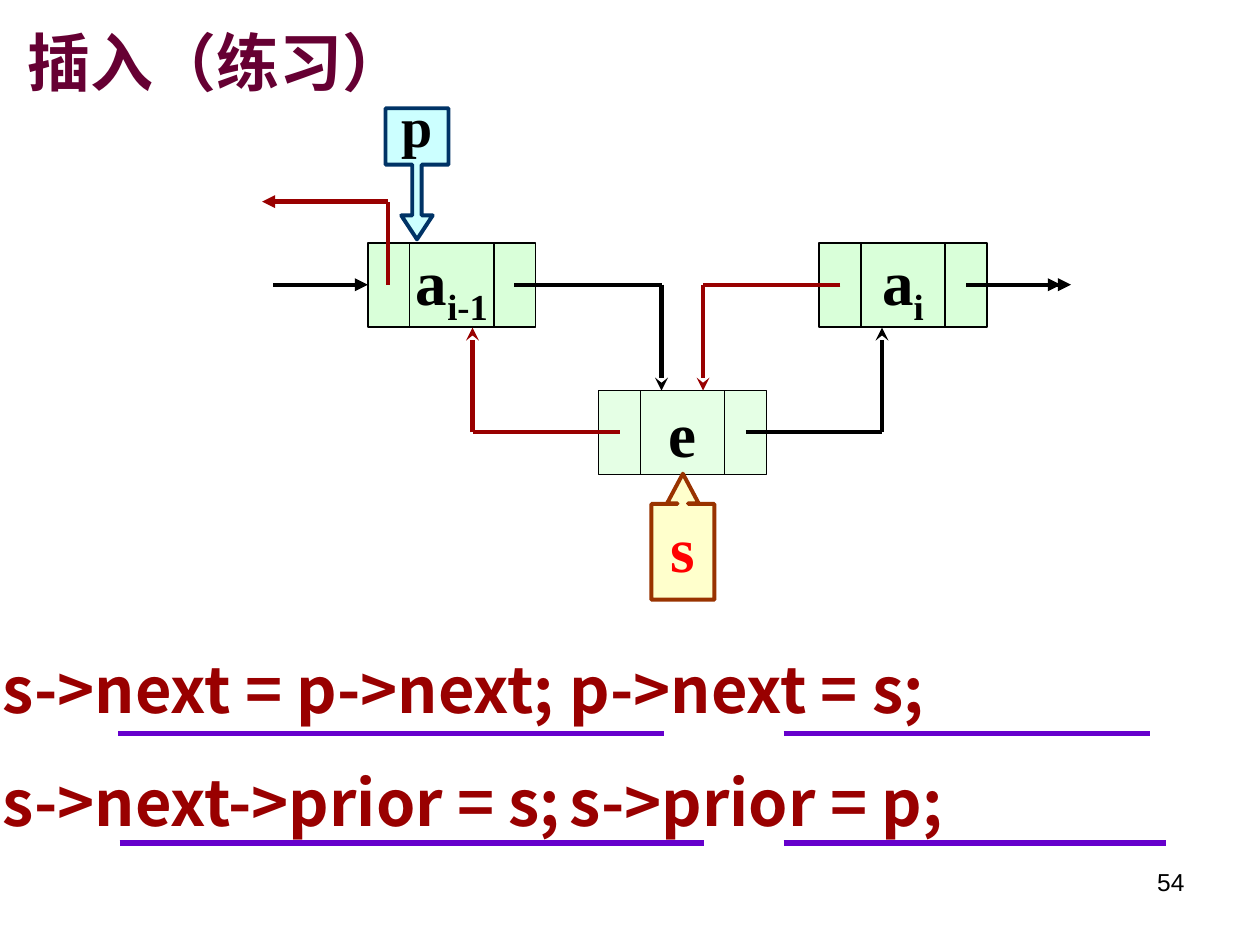
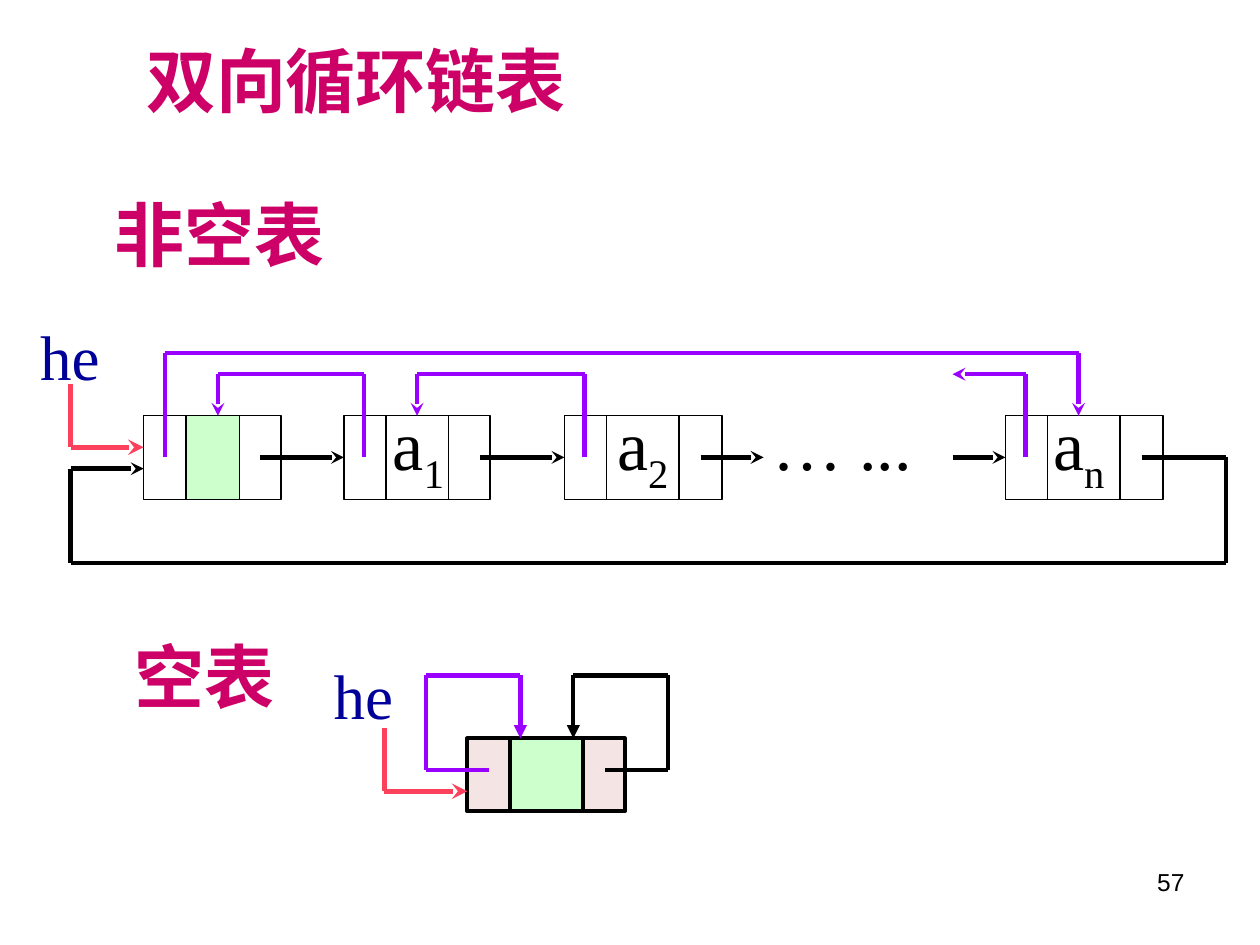
"""Build two slides on inserting into doubly linked lists and circular doubly linked lists."""
from itertools import pairwise
from pptx import Presentation
from pptx.dml.color import RGBColor
from pptx.enum import shapes, text
from pptx.oxml.ns import qn
from pptx import util as u
from lxml import etree

SERIF, SANS, CJK = "Times New Roman", "Arial", "Noto Sans CJK SC"
BLACK, RED, VIOLET, PURPLE, CORAL = "000000", "990000", "6600CC", "9900FF", "FB415C"
GREEN, MAGENTA, NAVY = "CCFFCC", "CC0066", "000099"
RECT = shapes.MSO_SHAPE.RECTANGLE
LEFT, CENTER, RIGHT = text.PP_ALIGN.LEFT, text.PP_ALIGN.CENTER, text.PP_ALIGN.RIGHT
rgb = RGBColor.from_string

prs = Presentation()
prs.slide_width, prs.slide_height = u.Inches(10), u.Inches(7.5)
COL = prs.slide_width / 100


def box(s, words, at, sp=None, geom=None, fill=None, line=None, lw=0.75, adj=(), size=36,
        font=SERIF, color=BLACK, bold=False, align=LEFT, mid=False, spacing=None, tabs=()):
    """Place a shape, text box or placeholder on the grid; an underscore starts a subscript."""
    at = [round(v * COL) for v in at]
    if sp is None:
        sp = s.shapes.add_shape(geom, *at) if geom else s.shapes.add_textbox(*at)
    sp.left, sp.top, sp.width, sp.height = at
    if geom:
        sp.shadow.inherit = False
        for i, value in enumerate(adj):
            sp.adjustments[i] = value
        sp.fill.background()
        if fill:
            sp.fill.solid()
            sp.fill.fore_color.rgb = rgb(fill)
        sp.line.color.rgb, sp.line.width = rgb(line), u.Pt(lw)
    tf = sp.text_frame
    tf.word_wrap, tf.auto_size = True, text.MSO_AUTO_SIZE.NONE
    tf.vertical_anchor = text.MSO_ANCHOR.MIDDLE if mid else text.MSO_ANCHOR.TOP
    for i, row in enumerate(words.split("\n") if words else []):
        p = tf.add_paragraph() if i else tf.paragraphs[0]
        p.alignment, p.space_before = align, u.Pt(0)
        if spacing:
            p.line_spacing = spacing
        if tabs:
            pPr = p._p.get_or_add_pPr()
            pPr.set("marL", "0")
            pPr.set("indent", "0")
            etree.SubElement(pPr, qn("a:buNone"))
            stops = etree.SubElement(pPr, qn("a:tabLst"))
            etree.SubElement(stops, qn("a:tab"), pos=str(round(tabs[i] * COL)), algn="l")
        for j, part in enumerate(row.split("_")):
            r = p.add_run()
            r.text, r.font.size, r.font.bold = part, u.Pt(size), bold
            r.font.color.rgb, r.font.name = rgb(color), font
            rPr = r.font._element
            etree.SubElement(rPr, qn("a:ea"), typeface=CJK)
            if j:
                rPr.set("baseline", "-25000")
    return sp


def path(s, points, color=BLACK, lw=2.5, head=None):
    """Join grid points with straight connectors, with an arrowhead on the last one."""
    for a, b in pairwise(points):
        c = s.shapes.add_connector(shapes.MSO_CONNECTOR.STRAIGHT,
                                   *[round(v * COL) for v in (*a, *b)])
        c.line.color.rgb, c.line.width = rgb(color), u.Pt(lw)
        if head and b == points[-1]:
            etree.SubElement(c.line._get_or_add_ln(), qn("a:tailEnd"), type=head)
        etree.SubElement(c._element.spPr, qn("a:effectLst"))


s = prs.slides.add_slide(prs.slide_layouts[1])
box(s, "插入（练习）", (1.2, 1.4, 40, 7), sp=s.shapes.title, color="660033", bold=True)
box(s, "s->next = p->next;\tp->next = s;\ns->next->prior = s;\ts->prior = p;",
    (-0.8, 48.1, 104.3, 19), sp=s.placeholders[1], font=CJK, color=RED, bold=True,
    spacing=1.5, tabs=(47.3, 46.5))
for x1, x2, y in ((9.4, 52.7, 58.2), (62.2, 91.3, 58.2), (9.5, 55.9, 66.9), (62.2, 92.5, 66.9)):
    path(s, [(x1, y), (x2, y)], VIOLET, 3)

NODE_W, NODE_H, LINK_W = 13.33, 6.67, 3.33
for label, x, y, fill in (("a_i-1", 29.2, 19.3, "D9FFD9"), ("a_i", 65, 19.3, "D9FFD9"),
                          ("e", 47.5, 31, "E5FFE5")):
    box(s, label, (x, y, NODE_W, NODE_H), geom=RECT, fill=fill, line=BLACK,
        bold=True, align=CENTER, mid=True)
    for divider in (x + LINK_W, x + NODE_W - LINK_W):
        path(s, [(divider, y), (divider, y + NODE_H)], lw=0.75)

box(s, "s", (51.7, 37.6, 5, 10), geom=shapes.MSO_SHAPE.UP_ARROW_CALLOUT, fill="FFFFCC",
    line="993300", lw=2.25, adj=(0.17, 0.25, 0.47, 0.76), color="FF0000", bold=True,
    align=CENTER, mid=True, spacing=0.9)
for points, color, head in (
        ([(21.7, 22.6), (29.2, 22.6)], BLACK, "triangle"),
        ([(76.7, 22.6), (84.2, 22.6)], BLACK, "triangle"),
        ([(76.7, 22.6), (85, 22.6)], BLACK, "triangle"),
        ([(59.2, 34.3), (70, 34.3), (70, 26)], BLACK, "stealth"),
        ([(40.8, 22.6), (52.5, 22.6), (52.5, 31)], BLACK, "stealth"),
        ([(66.7, 22.6), (55.8, 22.6), (55.8, 31)], RED, "stealth"),
        ([(49.2, 34.3), (37.5, 34.3), (37.5, 26)], RED, "stealth"),
        ([(30.8, 22.6), (30.8, 16), (20.8, 16)], RED, "triangle")):
    path(s, points, color, head=head)
box(s, "", (30.6, 8.6, 5, 10.4), geom=shapes.MSO_SHAPE.DOWN_ARROW_CALLOUT, fill="CCFFFF",
    line="003366", lw=2.25, adj=(0.15, 0.25, 0.38, 0.43))
box(s, "p", (30.9, 6.8, 5.2, 6.4), size=32, bold=True)

s = prs.slides.add_slide(prs.slide_layouts[5])
box(s, "双向循环链表", (10.6, 2.5, 45, 7.7), sp=s.shapes.title, size=40, color=MAGENTA, bold=True)
for words, x, y in (("非空表", 8.1, 14.7), ("空表", 9.7, 49.8)):
    box(s, words, (x, y, 22, 7.7), size=40, color=MAGENTA, bold=True)

TOP, MIDDLE = 33, 36.3
for x, width, data_end in ((11.4, 10.9, 7.5), (27.3, 11.6, 8.3), (44.8, 12.5, 9.1),
                           (79.8, 12.5, 9.1)):
    box(s, "", (x, TOP, width, NODE_H), geom=RECT, line=BLACK)
    for divider in (x + LINK_W, x + data_end):
        path(s, [(divider, TOP), (divider, TOP + NODE_H)], lw=0.75)
box(s, "", (14.8, TOP, 4.2, NODE_H), geom=RECT, fill=GREEN, line=BLACK)
for label, x in (("a_1", 30.2), ("a_2", 48), ("… ...", 60.3), ("a_n", 82.6)):
    box(s, label, (x, 31.3, 16, 8.6), size=40)

for x1, x2 in ((20.6, 27.3), (38.1, 44.8), (55.6, 60.6), (75.6, 79.8)):
    path(s, [(x1, MIDDLE), (x2, MIDDLE)], head="stealth")
path(s, [(90.6, MIDDLE), (97.3, MIDDLE), (97.3, 44.7), (5.6, 44.7), (5.6, 37.2), (11.4, 37.2)],
     head="stealth")
for x1, x2, y in ((28.9, 17.3, 29.7), (46.4, 33.1, 29.7), (13.1, 85.6, 28)):
    path(s, [(x1, MIDDLE), (x1, y), (x2, y), (x2, TOP)], PURPLE, head="stealth")
path(s, [(81.4, MIDDLE), (81.4, 29.7), (75.6, 29.7)], PURPLE, head="stealth")

for x, width, fill in ((40.5, 5.8, GREEN), (46.3, 3.3, "F4E4E4"), (37.1, 3.4, "F4E4E4")):
    box(s, "", (x, 58.6, width, 5.8), geom=RECT, fill=fill, line=BLACK, lw=2.25)
for x1, x2, x3, color in ((48, 53, 45.5, BLACK), (38.8, 33.8, 41.3, PURPLE)):
    path(s, [(x1, 61.1), (x2, 61.1), (x2, 53.6), (x3, 53.6), (x3, 58.6)], color, head="triangle")
for x, y, end, left, top in ((5.6, 30.5, 11.4, 2.2, 24.7), (30.5, 57.8, 37.1, 25.5, 51.6)):
    path(s, [(x, y), (x, y + 5), (end, y + 5)], CORAL, 3, "stealth")
    box(s, "he", (left, top, 7.4, 7), color=NAVY)

for s, number in zip(prs.slides, ("54", "57")):
    box(s, number, (71.7, 68.3, 23.3, 5.2), size=14, font=SANS, align=RIGHT)

prs.save("out.pptx")
